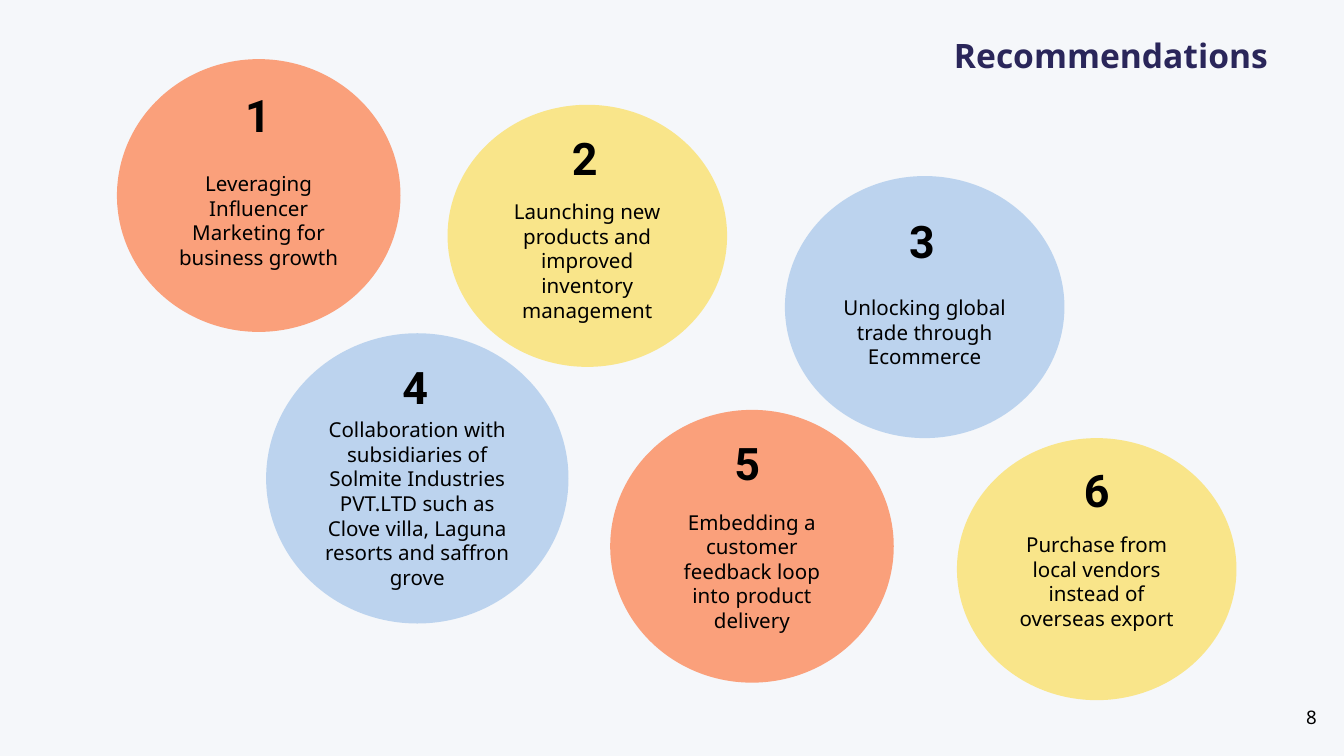
from dataclasses import dataclass
from typing import Optional

from pptx import Presentation
from pptx import util as u
from pptx.dml.color import RGBColor
from pptx.enum import shapes, text
from pptx.oxml.ns import qn
from lxml import etree


@dataclass(frozen=True)
class Fill:
    color: str
    alpha: int


@dataclass(frozen=True)
class Font:
    name: str
    size: int
    color: str = "000000"
    bold: bool = False


@dataclass(frozen=True)
class Theme:
    background: str = "F5F7FA"
    orange: Fill = Fill("FF4D01", 51)
    yellow: Fill = Fill("FED002", 45)
    blue: Fill = Fill("7CACE1", 47)
    title: Font = Font("Noto Sans", 18, "2A265A", True)
    number: Font = Font("Roboto", 24, bold=True)
    body: Font = Font("Noto Sans", 11)
    page: Font = Font("Noto Sans", 10)


@dataclass(frozen=True)
class Bubble:
    label: str
    left: float
    top: float
    width: float
    height: float
    fill: Fill
    number_left: float
    number_top: float
    bottom_inset: float = 0.1


THEME = Theme()
BUBBLES = [
    Bubble("Leveraging Influencer Marketing for business growth",
           0.87, 0.44, 2.11, 2.03, THEME.orange, 0.76, 0.43),
    Bubble("Launching new products and improved inventory management",
           3.33, 0.78, 2.08, 1.95, THEME.yellow, 3.19, 0.75),
    Bubble("Unlocking global trade through Ecommerce",
           5.84, 1.31, 2.08, 1.95, THEME.blue, 5.7, 1.37),
    Bubble("Collaboration with subsidiaries of Solmite Industries PVT.LTD such as "
           "Clove villa, Laguna resorts and saffron grove",
           1.98, 2.48, 2.25, 2.16, THEME.blue, 1.93, 2.46),
    Bubble("Embedding a customer feedback loop into product delivery",
           4.54, 3.05, 2.11, 2.03, THEME.orange, 4.4, 3.02),
    Bubble("Purchase from local vendors instead of overseas export",
           7.12, 3.26, 2.08, 1.95, THEME.yellow, 7, 3.22, 0.29),
]


def write(sp, label: str, font: Font, frame: Optional[dict] = None,
          align=text.PP_ALIGN.LEFT) -> None:
    tf = sp.text_frame
    for key, value in {"word_wrap": True, **(frame or {})}.items():
        setattr(tf, key, value)
    p = tf.paragraphs[0]
    p.alignment = align
    r = p.add_run()
    r.text = label
    for key, value in {"name": font.name, "size": u.Pt(font.size), "bold": font.bold}.items():
        setattr(r.font, key, value)
    r.font.color.rgb = RGBColor.from_string(font.color)


def add_text(s, box: tuple, label: str, font: Font, **options) -> None:
    sp = s.shapes.add_textbox(*map(u.Inches, box))
    write(sp, label, font, **options)


def middle(top: float = 0.1, bottom: float = 0.1) -> dict:
    return {
        "vertical_anchor": text.MSO_ANCHOR.MIDDLE,
        "margin_left": u.Inches(0.1),
        "margin_right": u.Inches(0.1),
        "margin_top": u.Inches(top),
        "margin_bottom": u.Inches(bottom),
    }


def add_bubble(s, b: Bubble) -> None:
    box = map(u.Inches, (b.left, b.top, b.width, b.height))
    sp = s.shapes.add_shape(shapes.MSO_SHAPE.OVAL, *box)
    sp.shadow.inherit = False
    sp.line.fill.background()
    sp.fill.solid()
    sp.fill.fore_color.rgb = RGBColor.from_string(b.fill.color)
    color = sp._element.spPr.find(qn("a:solidFill")).find(qn("a:srgbClr"))
    etree.SubElement(color, qn("a:alpha")).set("val", str(b.fill.alpha * 1000))
    write(sp, b.label, THEME.body, middle(0.47, b.bottom_inset), text.PP_ALIGN.CENTER)


def main() -> None:
    prs = Presentation()
    prs.slide_width = u.Inches(10)
    prs.slide_height = prs.slide_width * 9 // 16
    s = prs.slides.add_slide(prs.slide_layouts[6])
    s.background.fill.solid()
    s.background.fill.fore_color.rgb = RGBColor.from_string(THEME.background)

    add_text(s, (7, 0.21, 7.3, 0.4), "Recommendations", THEME.title)
    for b in BUBBLES:
        add_bubble(s, b)
    for number, b in enumerate(BUBBLES, 1):
        add_text(s, (b.number_left, b.number_top, 2.32, 0.84), str(number), THEME.number,
                 frame=middle(), align=text.PP_ALIGN.CENTER)
    add_text(s, (9.62, 5.2, 0.56, 0.27), "8", THEME.page)
    prs.save("out.pptx")


if __name__ == "__main__":
    main()
